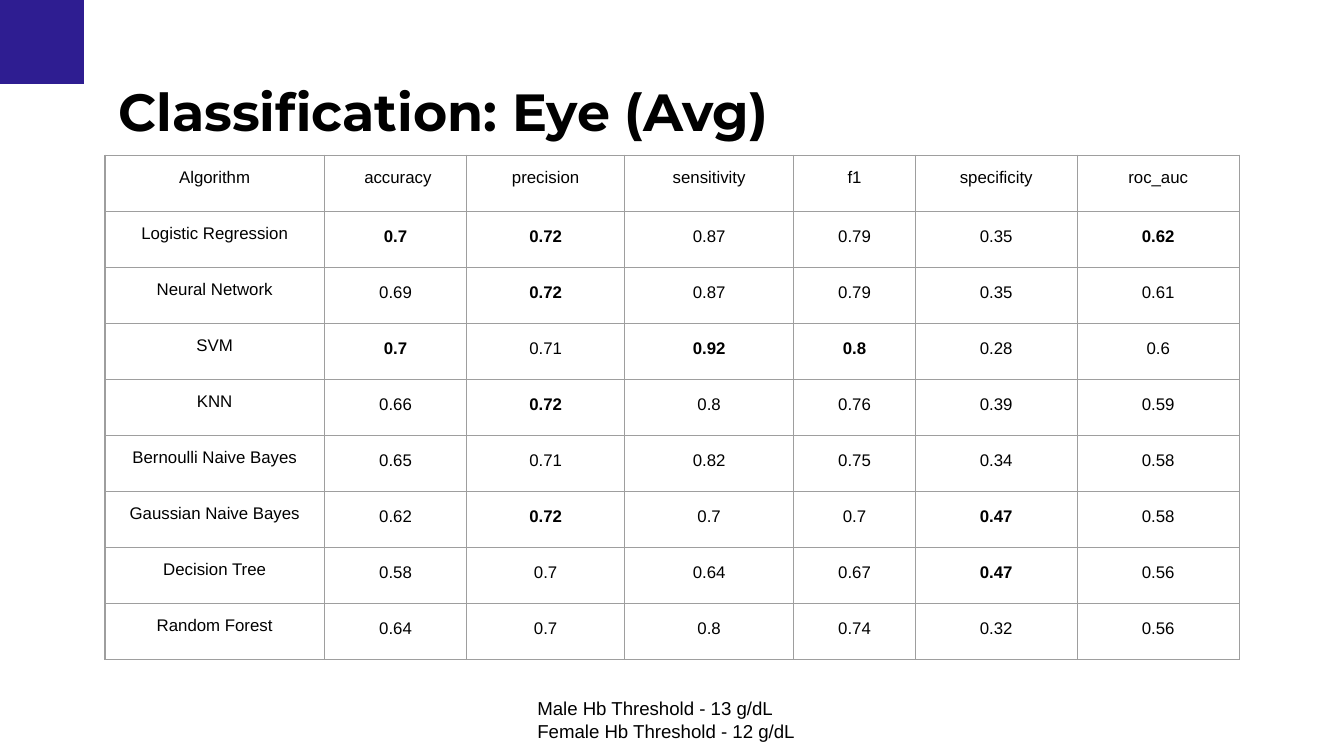
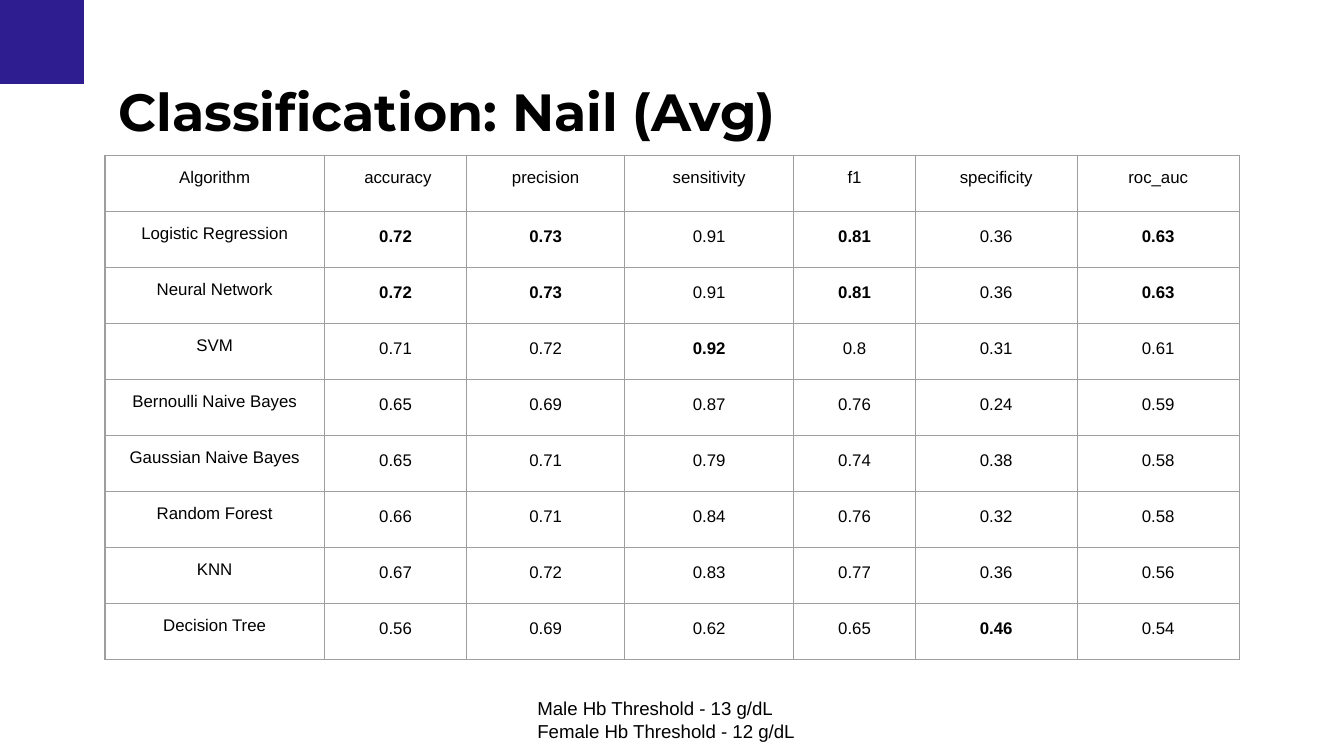
"""Build two slides that compare classifier scores for eye and nail data."""
from lxml import etree
from pptx import Presentation
from pptx.dml.color import RGBColor
from pptx.enum.shapes import MSO_SHAPE
from pptx.enum.text import MSO_ANCHOR, MSO_AUTO_SIZE, PP_ALIGN
from pptx.oxml.ns import qn
from pptx.util import Pt

RECTANGLE = MSO_SHAPE.RECTANGLE
TOP = MSO_ANCHOR.TOP
GROW = MSO_AUTO_SIZE.SHAPE_TO_FIT_TEXT
LEFT, CENTER = PP_ALIGN.LEFT, PP_ALIGN.CENTER

INDIGO = RGBColor(0x2E, 0x1D, 0x91)
BLACK = RGBColor(0x00, 0x00, 0x00)
GRAY = RGBColor(0x9E, 0x9E, 0x9E)
TITLE_FONT, BODY_FONT = "Montserrat", "Arial"

MARGIN = 7.2
CONTENT_LEFT = 56.2
ROW_HEIGHT = 30
COLUMN_WIDTHS = (117.5, 76.4, 84.4, 90.8, 65, 86.8, 86.8)
HEADERS = ("Algorithm", " accuracy", "precision", "sensitivity", "f1",
           "specificity", "roc_auc")
THRESHOLDS = ("Male Hb Threshold - 13 g/dL", "Female Hb Threshold - 12 g/dL")

EYE_SCORES = {
    "Logistic Regression": (0.7, 0.72, 0.87, 0.79, 0.35, 0.62),
    "Neural Network": (0.69, 0.72, 0.87, 0.79, 0.35, 0.61),
    "SVM": (0.7, 0.71, 0.92, 0.8, 0.28, 0.6),
    "KNN": (0.66, 0.72, 0.8, 0.76, 0.39, 0.59),
    "Bernoulli Naive Bayes": (0.65, 0.71, 0.82, 0.75, 0.34, 0.58),
    "Gaussian Naive Bayes": (0.62, 0.72, 0.7, 0.7, 0.47, 0.58),
    "Decision Tree": (0.58, 0.7, 0.64, 0.67, 0.47, 0.56),
    "Random Forest": (0.64, 0.7, 0.8, 0.74, 0.32, 0.56),
}
NAIL_SCORES = {
    "Logistic Regression": (0.72, 0.73, 0.91, 0.81, 0.36, 0.63),
    "Neural Network": (0.72, 0.73, 0.91, 0.81, 0.36, 0.63),
    "SVM": (0.71, 0.72, 0.92, 0.8, 0.31, 0.61),
    "Bernoulli Naive Bayes": (0.65, 0.69, 0.87, 0.76, 0.24, 0.59),
    "Gaussian Naive Bayes": (0.65, 0.71, 0.79, 0.74, 0.38, 0.58),
    "Random Forest": (0.66, 0.71, 0.84, 0.76, 0.32, 0.58),
    "KNN": (0.67, 0.72, 0.83, 0.77, 0.36, 0.56),
    "Decision Tree": (0.56, 0.69, 0.62, 0.65, 0.46, 0.54),
}


def set_margins(holder):
    """Give a text frame or a cell the same inset on every side."""
    holder.margin_left = holder.margin_right = Pt(MARGIN)
    holder.margin_top = holder.margin_bottom = Pt(MARGIN)


def write_para(para, text, font, size, bold=False, align=LEFT):
    """Write one styled run into a paragraph."""
    para.alignment = align
    span = para.add_run()
    span.text = text
    span.font.name = font
    span.font.size = Pt(size)
    span.font.bold = bold
    span.font.color.rgb = BLACK


def add_corner(page):
    """Add the indigo square in the top left corner."""
    corner = page.shapes.add_shape(RECTANGLE, 0, 0, Pt(45), Pt(45))
    corner.shadow.inherit = False
    corner.fill.solid()
    corner.fill.fore_color.rgb = INDIGO
    corner.line.fill.background()


def add_text(page, place, lines, font, size, bold=False):
    """Add a text box with one paragraph per line."""
    box = page.shapes.add_textbox(*map(Pt, place))
    frame = box.text_frame
    frame.word_wrap = True
    frame.auto_size = GROW
    frame.vertical_anchor = TOP
    set_margins(frame)
    for index, line in enumerate(lines):
        para = frame.add_paragraph() if index else frame.paragraphs[0]
        write_para(para, line, font, size, bold)


def style_cell(cell):
    """Give a cell thin gray borders and no fill."""
    properties = cell._tc.get_or_add_tcPr()
    for side in ("a:lnL", "a:lnR", "a:lnT", "a:lnB"):
        line = etree.SubElement(properties, qn(side), w=str(Pt(0.75)))
        fill = etree.SubElement(line, qn("a:solidFill"))
        etree.SubElement(fill, qn("a:srgbClr"), val=str(GRAY))
    cell.fill.background()
    cell.vertical_anchor = TOP
    set_margins(cell)


def add_score_table(page, scores):
    """Add the score table, with the best value of each column in bold."""
    best = [max(column) for column in zip(*scores.values())]
    rows = [HEADERS] + [(name, *values) for name, values in scores.items()]
    table = page.shapes.add_table(
        len(rows), len(HEADERS), Pt(CONTENT_LEFT), Pt(83.2),
        Pt(sum(COLUMN_WIDTHS)), Pt(ROW_HEIGHT * len(rows))).table
    table.first_row = table.horz_banding = False
    for column, width in zip(table.columns, COLUMN_WIDTHS):
        column.width = Pt(width)
    for row_index, row in enumerate(rows):
        table.rows[row_index].height = Pt(ROW_HEIGHT)
        for column_index, value in enumerate(row):
            cell = table.cell(row_index, column_index)
            style_cell(cell)
            para = cell.text_frame.paragraphs[0]
            is_score = row_index > 0 and column_index > 0
            if is_score:
                para.line_spacing = 1.15
            bold = is_score and value == best[column_index - 1]
            write_para(para, str(value), BODY_FONT, 9, bold, CENTER)


def add_score_page(deck, title, scores):
    """Add one slide with its title, score table and threshold note."""
    page = deck.slides.add_slide(deck.slide_layouts[6])
    add_corner(page)
    add_text(page, (CONTENT_LEFT, 35, 607.7, 48.2), [title],
             TITLE_FONT, 28, True)
    add_score_table(page, scores)
    add_text(page, (280.8, 366.3, 158.4, 38.7), THRESHOLDS, BODY_FONT, 10)


def main():
    """Build and save the deck."""
    deck = Presentation()
    deck.slide_width, deck.slide_height = Pt(720), Pt(405)
    add_score_page(deck, "Classification: Eye (Avg)", EYE_SCORES)
    add_score_page(deck, "Classification: Nail (Avg)", NAIL_SCORES)
    deck.save("out.pptx")


if __name__ == "__main__":
    main()
